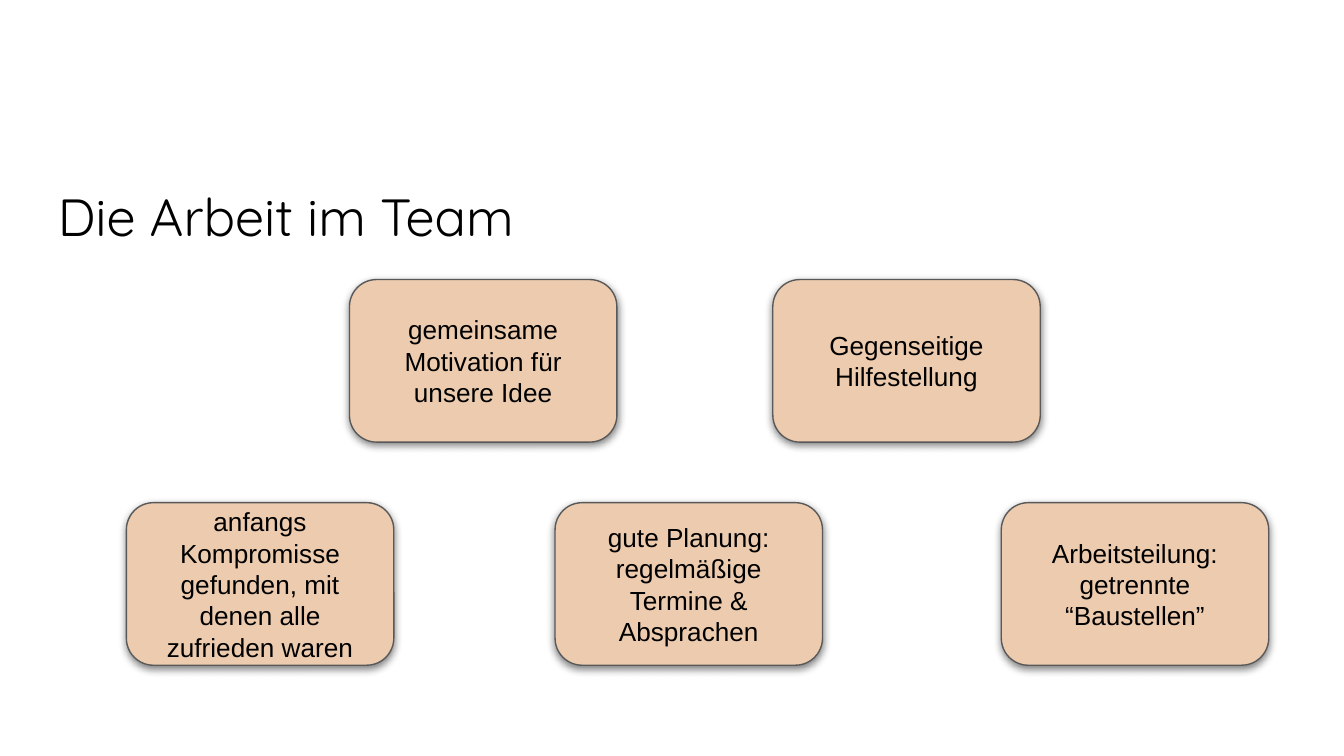
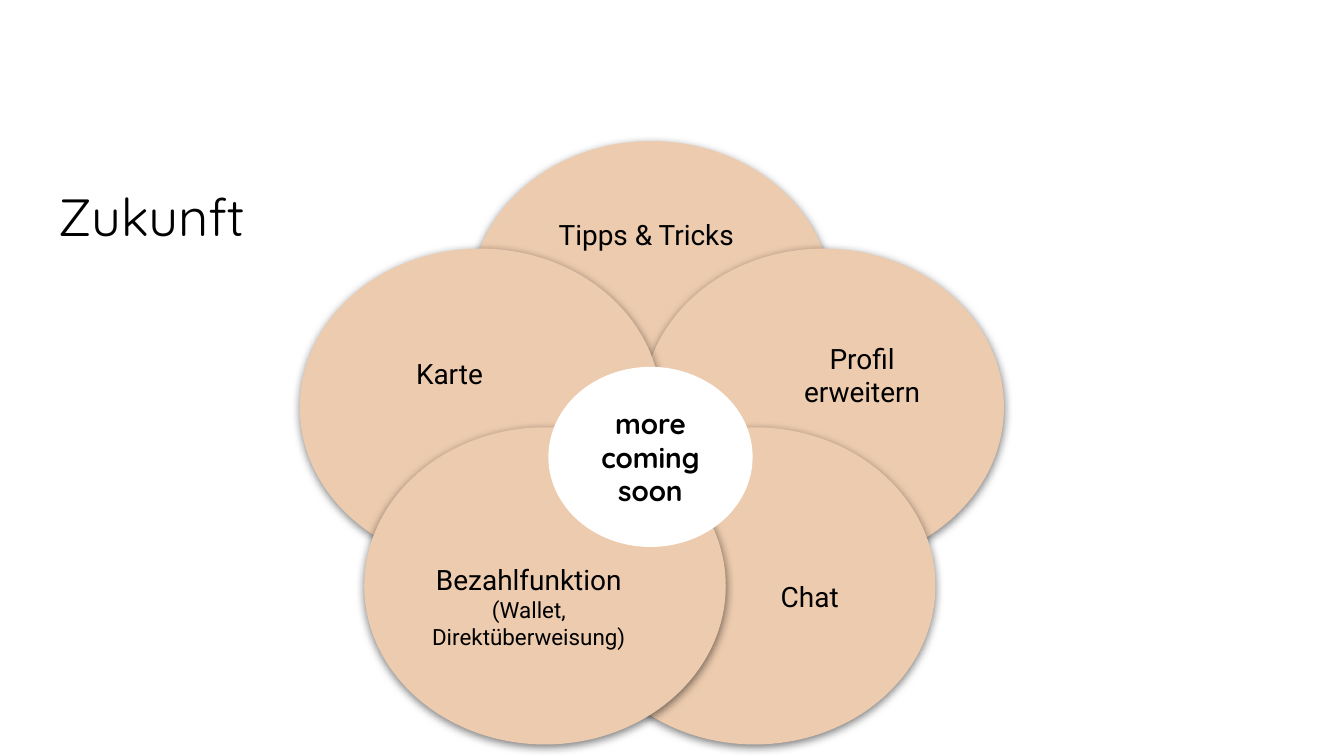
from copy import deepcopy
from dataclasses import dataclass

from lxml import etree
from pptx import Presentation
from pptx import util as u
from pptx.dml.color import RGBColor
from pptx.enum import shapes, text
from pptx.oxml.ns import qn

PX = 9144  # EMU per px, 100 px to the inch
PAGE_WIDTH = 1000
COLORS = {"ink": "000000", "peach": "EDCBAE", "outline": "595959", "paper": "FFFFFF"}
TITLE_FONT, CARD_FONT, LABEL_FONT = "Quicksand", "Arial", "Roboto"

CARD_SIZE = (199, 121)
TOP_ROW, BOTTOM_ROW = 208, 374
PETAL_SIZE = (269, 236)
LABEL_HEIGHT = 72


@dataclass(frozen=True)
class Card:
    left: int
    top: int
    words: str


@dataclass(frozen=True)
class Petal:
    left: int
    top: int
    label_left: int
    label_top: int
    label_width: int
    words: str
    note: str = ""


CARDS = [
    Card(745, BOTTOM_ROW, "Arbeitsteilung: getrennte “Baustellen”"),
    Card(260, TOP_ROW, "gemeinsame Motivation für unsere Idee"),
    Card(413, BOTTOM_ROW, "gute Planung: regelmäßige Termine & Absprachen"),
    Card(575, TOP_ROW, "Gegenseitige Hilfestellung"),
    Card(94, BOTTOM_ROW, "anfangs Kompromisse gefunden, mit denen alle zufrieden waren"),
]

PETALS = [
    Petal(350, 105, 401, 138, 165, "Tipps & Tricks "),
    Petal(478, 185, 559, 243, 165, "Profil\verweitern"),
    Petal(223, 185, 243, 242, 183, "Karte"),
    Petal(427, 318, 520, 408, 165, "Chat"),
    Petal(271, 318, 306, 415, 175, "Bezahlfunktion ", "(Wallet, Direktüberweisung)"),
]


def color(name: str) -> RGBColor:
    return RGBColor.from_string(COLORS[name])


def format_span(span, font: str, size: int, bold: bool = False) -> None:
    span.font.name = font
    span.font.size = u.Pt(size)
    span.font.bold = bold
    span.font.color.rgb = color("ink")


def write(shape, words: str, font: str, size: int, align=text.PP_ALIGN.CENTER,
          anchor=text.MSO_ANCHOR.MIDDLE, bold: bool = False) -> None:
    """Set the text of a shape; line breaks take the format of the first run."""
    frame = shape.text_frame
    frame.word_wrap = True
    frame.auto_size = text.MSO_AUTO_SIZE.NONE
    frame.vertical_anchor = anchor
    frame.margin_left = frame.margin_right = 10 * PX
    frame.margin_top = frame.margin_bottom = 10 * PX
    frame.text = words
    para = frame.paragraphs[0]
    para.alignment = align
    para.space_before = u.Pt(0)
    for span in para.runs:
        format_span(span, font, size, bold)
    for line_break in para._p.findall(qn("a:br")):
        line_break.append(deepcopy(para.runs[0]._r.rPr))


def add_shadow(shape) -> None:
    """Give the shape a soft half-transparent shadow straight below it."""
    effects = shape._element.spPr.find(qn("a:effectLst"))
    shadow = etree.SubElement(
        effects, qn("a:outerShdw"), blurRad=str(u.Pt(4.5)), dist=str(u.Pt(1.5)),
        dir="5400000", algn="bl", rotWithShape="0")
    tint = etree.SubElement(shadow, qn("a:srgbClr"), val=COLORS["ink"])
    etree.SubElement(tint, qn("a:alpha"), val="50000")


def add_plain_shape(parent, kind, left: int, top: int, width: int, height: int,
                    fill: str = "peach"):
    """Add a filled shape without line or shadow to a slide's or group's shapes."""
    shape = parent.add_shape(kind, left * PX, top * PX, width * PX, height * PX)
    shape.shadow.inherit = False
    shape.fill.solid()
    shape.fill.fore_color.rgb = color(fill)
    shape.line.fill.background()
    return shape


def add_page(deck, title: str):
    page = deck.slides.add_slide(deck.slide_layouts[5])
    page.background.fill.solid()
    page.background.fill.fore_color.rgb = color("paper")
    box = page.shapes.title
    box.left, box.top, box.width, box.height = (n * PX for n in (33, 127, 923, 59))
    write(box, title, TITLE_FONT, 28, text.PP_ALIGN.LEFT, text.MSO_ANCHOR.TOP)
    return page


def add_card(page, card: Card) -> None:
    box = add_plain_shape(page.shapes, shapes.MSO_SHAPE.ROUNDED_RECTANGLE,
                          card.left, card.top, *CARD_SIZE)
    box.line.color.rgb = color("outline")
    box.line.width = u.Pt(0.75)
    add_shadow(box)
    write(box, card.words, CARD_FONT, 14)


def add_petal(page, petal: Petal) -> None:
    group = page.shapes.add_group_shape()
    oval = add_plain_shape(group.shapes, shapes.MSO_SHAPE.OVAL,
                           petal.left, petal.top, *PETAL_SIZE)
    add_shadow(oval)
    label = add_plain_shape(group.shapes, shapes.MSO_SHAPE.RECTANGLE, petal.label_left,
                            petal.label_top, petal.label_width, LABEL_HEIGHT)
    write(label, petal.words, LABEL_FONT, 15)
    if petal.note:
        span = label.text_frame.paragraphs[0].add_run()
        span.text = petal.note
        format_span(span, LABEL_FONT, 12)


def build_team_page(deck) -> None:
    page = add_page(deck, "Die Arbeit im Team")
    for card in CARDS:
        add_card(page, card)


def build_future_page(deck) -> None:
    page = add_page(deck, "Zukunft")
    for petal in PETALS:
        add_petal(page, petal)
    center = add_plain_shape(page.shapes, shapes.MSO_SHAPE.OVAL, 408, 273, 152, 134, "paper")
    write(center, "more coming soon", TITLE_FONT, 15, anchor=text.MSO_ANCHOR.TOP, bold=True)


def main() -> None:
    deck = Presentation()
    deck.slide_width = PAGE_WIDTH * PX
    deck.slide_height = deck.slide_width * 9 // 16
    build_team_page(deck)
    build_future_page(deck)
    deck.save("out.pptx")


if __name__ == "__main__":
    main()
